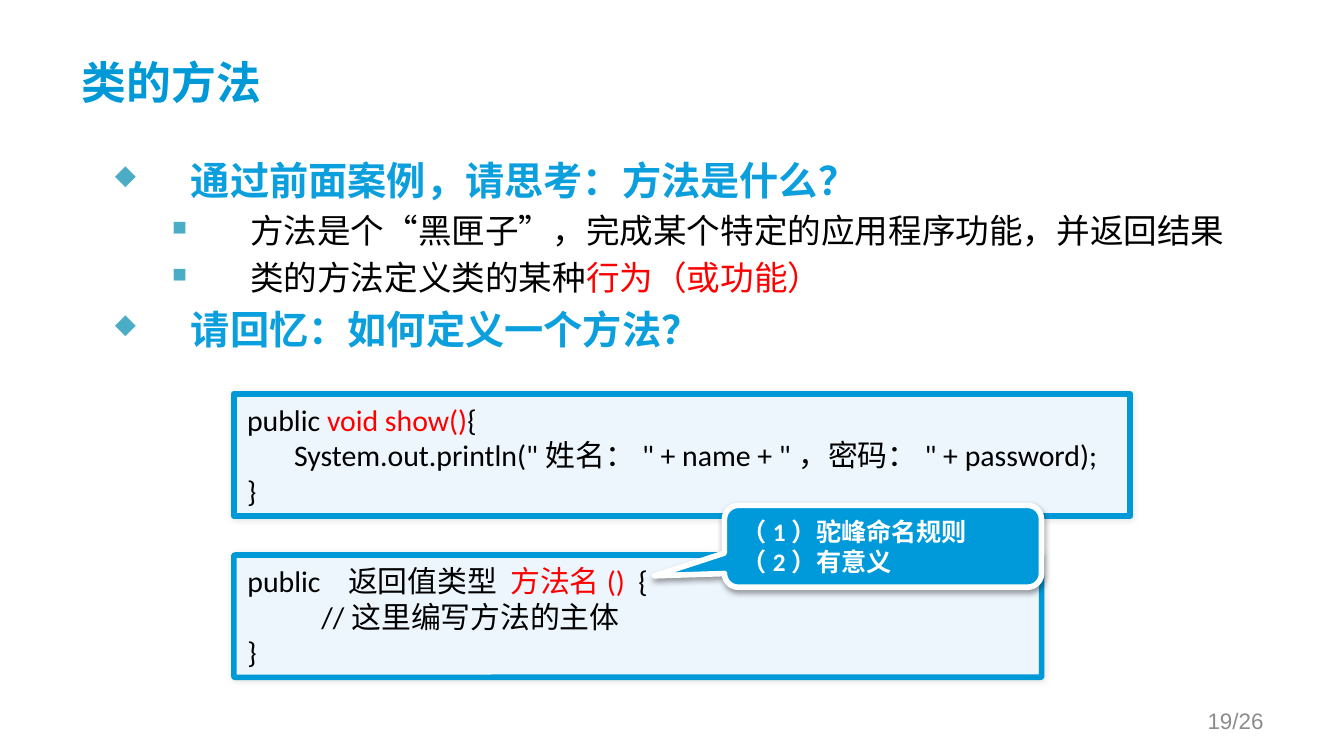
from dataclasses import dataclass

from lxml import etree
from pptx import Presentation
from pptx.dml.color import RGBColor
from pptx.enum.shapes import MSO_SHAPE
from pptx.enum.text import MSO_ANCHOR, MSO_AUTO_SIZE, PP_ALIGN
from pptx.oxml.ns import qn
from pptx.util import Inches, Pt

ROUND = MSO_SHAPE.ROUNDED_RECTANGLE
CALLOUT = MSO_SHAPE.ROUNDED_RECTANGULAR_CALLOUT
MIDDLE = MSO_ANCHOR.MIDDLE
LEFT, RIGHT = PP_ALIGN.LEFT, PP_ALIGN.RIGHT
FIT, FIXED = MSO_AUTO_SIZE.SHAPE_TO_FIT_TEXT, MSO_AUTO_SIZE.NONE


@dataclass(frozen=True)
class Theme:
    blue: str = "0099D8"
    head: str = "0B9FDD"
    note: str = "009ADA"
    pale: str = "EDF5FD"
    mark: str = "4BACC6"
    red: str = "FF0000"
    black: str = "000000"
    white: str = "FFFFFF"
    gray: str = "8C8C8C"
    title_size: float = 24
    head_size: float = 21
    item_size: float = 18
    code_size: float = 16
    note_size: float = 13.5
    page_size: float = 12
    main: str = "Calibri"
    cjk: str = "Noto Sans CJK SC"
    plain: str = "Arial"


THEME = Theme()

# Each line is a list of (text, is red) runs.
POINTS = [
    (0, [("通过前面案例，请思考：方法是什么？", False)]),
    (1, [("方法是个“黑匣子”，完成某个特定的应用程序功能，并返回结果", False)]),
    (1, [("类的方法定义类的某种", False), ("行为（或功能）", True)]),
    (0, [("请回忆：如何定义一个方法？", False)]),
]
SYNTAX = [
    [("public   返回值类型  ", False), ("方法名()", True), ("  {", False)],
    [("           //这里编写方法的主体", False)],
    [("}", False)],
]
SAMPLE = [
    [("public ", False), ("void show()", True), ("{", False)],
    [('       System.out.println("姓名：" + name + "，密码：" + password);', False)],
    [("}", False)],
]
NOTES = [[("（1）驼峰命名规则", False)], [("（2）有意义", False)]]


def rgb(color):
    return RGBColor.from_string(color)


def place(shape, left, top, width, height):
    shape.left, shape.top = Inches(left), Inches(top)
    shape.width, shape.height = Inches(width), Inches(height)


def write(par, runs, size, color, face=THEME.main, bold=False, align=LEFT):
    par.alignment = align
    font = par.font
    font.name, font.size, font.bold = face, Pt(size), bold
    font.color.rgb = rgb(color)
    for text, red in runs:
        run = par.add_run()
        run.text = text
        if red:
            run.font.color.rgb = rgb(THEME.red)


def next_par(frame, index):
    return frame.add_paragraph() if index else frame.paragraphs[0]


def add_mark(par, left, hang, char, scale):
    """Give the paragraph a hanging symbol bullet, scaled in percent."""
    props = par._p.get_or_add_pPr()
    props.set("marL", str(Inches(left)))
    props.set("indent", str(-Inches(hang)))
    color = etree.SubElement(props, qn("a:buClr"))
    etree.SubElement(color, qn("a:srgbClr"), val=THEME.mark)
    etree.SubElement(props, qn("a:buSzPct"), val=str(scale * 1000))
    etree.SubElement(props, qn("a:buFont"), typeface="Wingdings")
    etree.SubElement(props, qn("a:buChar"), char=char)


def add_shadow(shape, alpha, blur, dist=0, angle=0):
    shape.shadow.inherit = False
    effects = shape._element.spPr.find(qn("a:effectLst"))
    shade = etree.SubElement(
        effects, qn("a:outerShdw"), blurRad=str(Pt(blur)), dist=str(Pt(dist)),
        dir=str(angle * 60000), algn="ctr", rotWithShape="0")
    color = etree.SubElement(shade, qn("a:srgbClr"), val=THEME.black)
    etree.SubElement(color, qn("a:alpha"), val=str(alpha * 1000))


def add_panel(slide, kind, box, adjust, fill, line, lines, **style):
    shape = slide.shapes.add_shape(kind, *map(Inches, box))
    for index, value in enumerate(adjust):
        shape.adjustments[index] = value
    shape.fill.solid()
    shape.fill.fore_color.rgb = rgb(fill)
    shape.line.color.rgb = rgb(line)
    shape.line.width = Pt(3)
    frame = shape.text_frame
    frame.word_wrap, frame.auto_size = True, FIT
    frame.vertical_anchor = MIDDLE
    for index, runs in enumerate(lines):
        write(next_par(frame, index), runs, **style)
    return shape


def add_code(slide, box, adjust, lines):
    shape = add_panel(slide, ROUND, box, [adjust], THEME.pale, THEME.blue,
                      lines, size=THEME.code_size, color=THEME.black)
    add_shadow(shape, 10, 3)


def add_note(slide, box, lines):
    shape = add_panel(slide, CALLOUT, box, [-0.72, 0.36, 0.17], THEME.note,
                      THEME.white, lines, size=THEME.note_size,
                      color=THEME.white, bold=True)
    add_shadow(shape, 38, 3.1, 1.6, 90)


def fill_title(shape, text):
    place(shape, 0.51, 0.14, 9, 0.94)
    frame = shape.text_frame
    frame.auto_size, frame.vertical_anchor = FIXED, MIDDLE
    write(frame.paragraphs[0], [(text, False)], THEME.title_size,
          THEME.blue, bold=True)


def fill_body(shape, points):
    place(shape, 0.74, 1.11, 8.49, 3.71)
    frame = shape.text_frame
    frame.auto_size = FIXED
    for index, (level, runs) in enumerate(points):
        par = next_par(frame, index)
        par.level = level
        par.space_before = Pt(4 if index else 0)
        par.line_spacing = Pt(21.2 if level else 25.5)
        if level:
            add_mark(par, 1.02, 0.58, "n", 60)
            write(par, runs, THEME.item_size, THEME.black, THEME.cjk)
        else:
            add_mark(par, 0.58, 0.58, "u", 65)
            write(par, runs, THEME.head_size, THEME.head, THEME.cjk, True)


def add_page(slide, text):
    box = slide.shapes.add_textbox(*map(Inches, (7.17, 5.21, 2.33, 0.3)))
    frame = box.text_frame
    frame.word_wrap, frame.vertical_anchor = True, MIDDLE
    write(frame.paragraphs[0], [(text, False)], THEME.page_size,
          THEME.gray, THEME.plain, align=RIGHT)


def main():
    deck = Presentation()
    deck.slide_width = Inches(10)
    deck.slide_height = deck.slide_width * 9 // 16
    slide = deck.slides.add_slide(deck.slide_layouts[1])
    fill_title(slide.shapes.title, "类的方法")
    fill_body(slide.placeholders[1], POINTS)
    add_code(slide, (1.74, 4.13, 6.01, 0.91), 0.01, SYNTAX)
    add_code(slide, (1.74, 2.93, 6.67, 0.91), 0, SAMPLE)
    add_note(slide, (5.39, 3.76, 2.36, 0.61), NOTES)
    add_page(slide, "19/26")
    deck.save("out.pptx")


if __name__ == "__main__":
    main()
